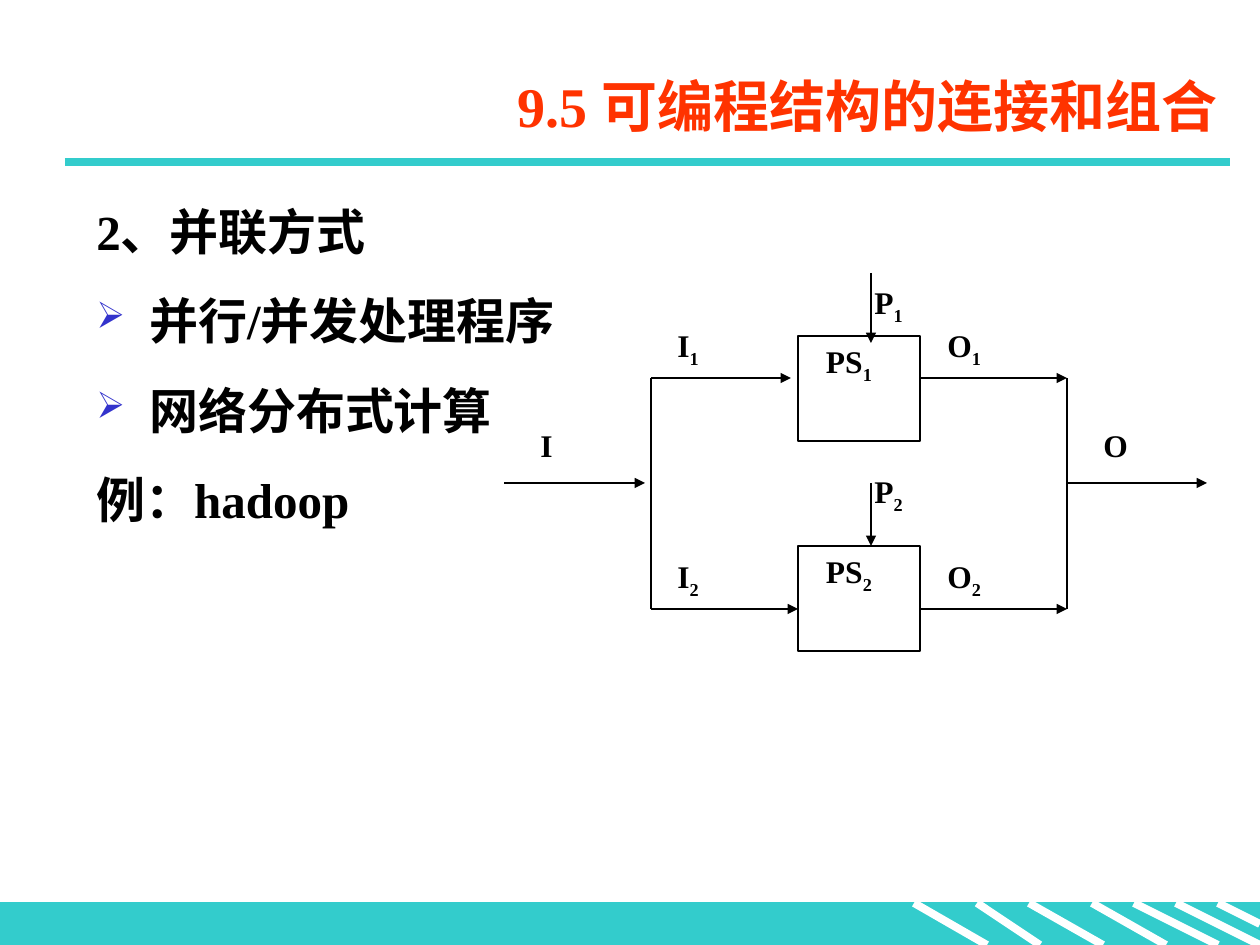
from lxml.etree import SubElement
from pptx import Presentation
from pptx.dml.color import RGBColor as RGB
from pptx.enum.shapes import MSO_CONNECTOR as LINK, MSO_SHAPE as SHAPE
from pptx.enum.text import MSO_ANCHOR as ANCHOR, PP_ALIGN as ALIGN
from pptx.oxml.ns import qn
from pptx.util import Pt

SCALE = 914400 / 126  # EMU per px
WIDE, HIGH = 1260, 945
HEX = {"teal": "33CCCC", "white": "FFFFFF", "black": "000000",
       "title": "FF3300", "bullet": "3333CC"}

# Content: text, bulleted or not
TITLE = "9.5 可编程结构的连接和组合"
BODY = [("2、并联方式", False), ("并行/并发处理程序", True),
        ("网络分布式计算", True), ("例：hadoop", False)]

# Footer stripes: top x, bottom x, bottom y
STRIPES = [(914, 987, 945), (977, 1040, 945), (1029, 1103, 945),
           (1092, 1166, 945), (1134, 1218, 945), (1176, 1260, 945),
           (1218, 1260, 924)]

# Diagram: columns and rows
START, SPLIT, LEFT, RIGHT, JOIN, END = 504, 651, 798, 920, 1067, 1207
TOP, MID, LOW = 378, 483, 609
BOXES = [("1", 336), ("2", 546)]
ARROWS = [(START, MID, 645, MID), (SPLIT, TOP, 791, TOP),
          (SPLIT, LOW, LEFT, LOW), (RIGHT, TOP, JOIN, TOP),
          (RIGHT, LOW, JOIN, LOW), (JOIN, MID, END, MID),
          (871, 273, 871, 343), (871, MID, 871, 546)]
BARS = [(x, TOP, x, LOW) for x in (SPLIT, JOIN)]
# Labels: letter, subscript, x, y, width
LABELS = [("I", "", 528, 420, 73), ("O", "", 1091, 420, 73),
          ("I", "1", 665, 320, 73), ("I", "2", 665, 551, 73),
          ("O", "1", 935, 320, 98), ("O", "2", 935, 551, 98),
          ("P", "1", 862, 277, 73), ("P", "2", 862, 466, 73)]


def px(*nums):
    return [round(n * SCALE) for n in nums]


def write(para, text, size, color="black", sub=False):
    run = para.add_run()
    run.text = text
    look = {"name": "Times New Roman", "size": Pt(size), "bold": True}
    for key, value in look.items():
        setattr(run.font, key, value)
    run.font.color.rgb = RGB.from_string(HEX[color])
    if sub:
        run.font._element.set("baseline", "-25000")


def frame(shape, **extra):
    text = shape.text_frame
    look = {"word_wrap": True, "vertical_anchor": ANCHOR.TOP, **extra}
    for key, value in look.items():
        setattr(text, key, value)
    text.paragraphs[0].alignment = ALIGN.JUSTIFY
    return text


def box(slide, area, fill, line, width):
    shape = slide.shapes.add_shape(SHAPE.RECTANGLE, *px(*area))
    shape.shadow.inherit = False
    shape.fill.solid()
    shape.fill.fore_color.rgb = RGB.from_string(HEX[fill])
    shape.line.color.rgb = RGB.from_string(HEX[line])
    shape.line.width = Pt(width)
    return shape


def link(slide, ends, color="black", width=1.5, arrow=False):
    line = slide.shapes.add_connector(LINK.STRAIGHT, *px(*ends))
    line.line.color.rgb = RGB.from_string(HEX[color])
    line.line.width = Pt(width)
    props = line._element.spPr
    if arrow:
        SubElement(props.find(qn("a:ln")), qn("a:tailEnd"), type="triangle")
    SubElement(props, qn("a:effectLst"))


def bullet(para):
    props = para._p.get_or_add_pPr()
    hang, = px(53)
    props.set("marL", str(hang))
    props.set("indent", str(-hang))
    tint = SubElement(props, qn("a:buClr"))
    SubElement(tint, qn("a:srgbClr"), val=HEX["bullet"])
    SubElement(props, qn("a:buSzPct"), val="75000")
    SubElement(props, qn("a:buChar"), char="➢")


def symbol(text, letter, sub):
    write(text.paragraphs[0], letter, 18)
    if sub:
        write(text.paragraphs[0], sub, 18, sub=True)


def main():
    deck = Presentation()
    deck.slide_width, deck.slide_height = px(WIDE, HIGH)
    slide = deck.slides.add_slide(deck.slide_layouts[6])

    # Footer band and title rule
    box(slide, (0, 903, WIDE, 42), "teal", "teal", 0.75)
    for x, foot, base in STRIPES:
        link(slide, (x, 903, foot, base), "white", 4.5)
    link(slide, (65, 162, 1230, 162), "teal", 4.5)

    # Body text
    area = slide.shapes.add_textbox(*px(84, 195, 517, 430))
    text = frame(area)
    for i, (words, listed) in enumerate(BODY):
        para = text.add_paragraph() if i else text.paragraphs[0]
        para.alignment = ALIGN.JUSTIFY
        if i:
            para.space_before = Pt(17.5)
        if listed:
            bullet(para)
        write(para, words, 28)

    # Diagram
    for sub, y in BOXES:
        shape = box(slide, (LEFT, y, RIGHT - LEFT, 105), "white", "black", 1.5)
        symbol(frame(shape, margin_left=px(28)[0]), "PS", sub)
    for ends in ARROWS:
        link(slide, ends, arrow=True)
    for ends in BARS:
        link(slide, ends)
    for letter, sub, x, y, wide in LABELS:
        label = slide.shapes.add_textbox(*px(x, y, wide, 63))
        symbol(frame(label), letter, sub)

    # Title
    area = slide.shapes.add_textbox(*px(174, 55, 1071, 100))
    text = frame(area, vertical_anchor=ANCHOR.MIDDLE, margin_right=px(27)[0])
    text.paragraphs[0].alignment = ALIGN.RIGHT
    write(text.paragraphs[0], TITLE, 32, "title")

    deck.save("out.pptx")


if __name__ == "__main__":
    main()
